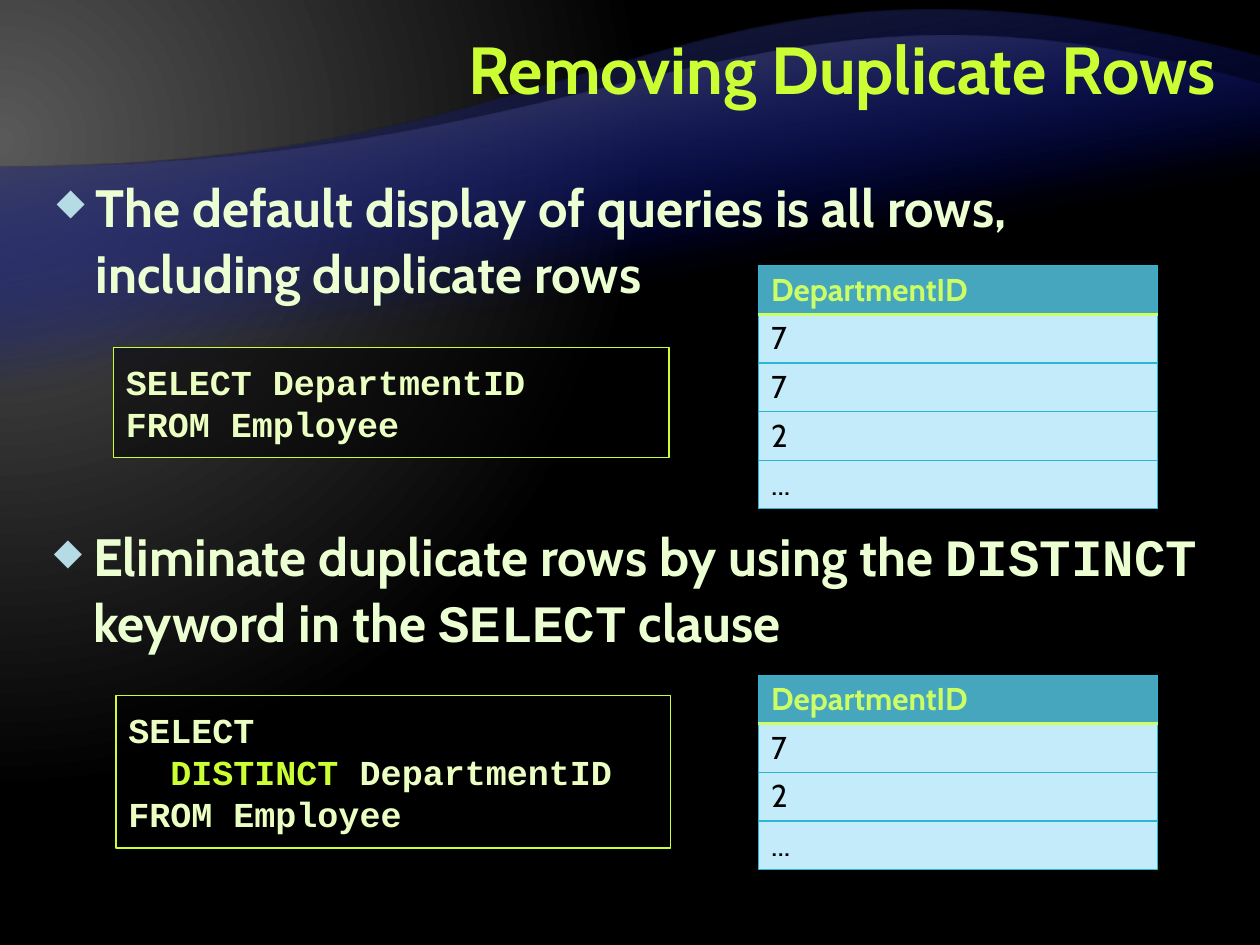
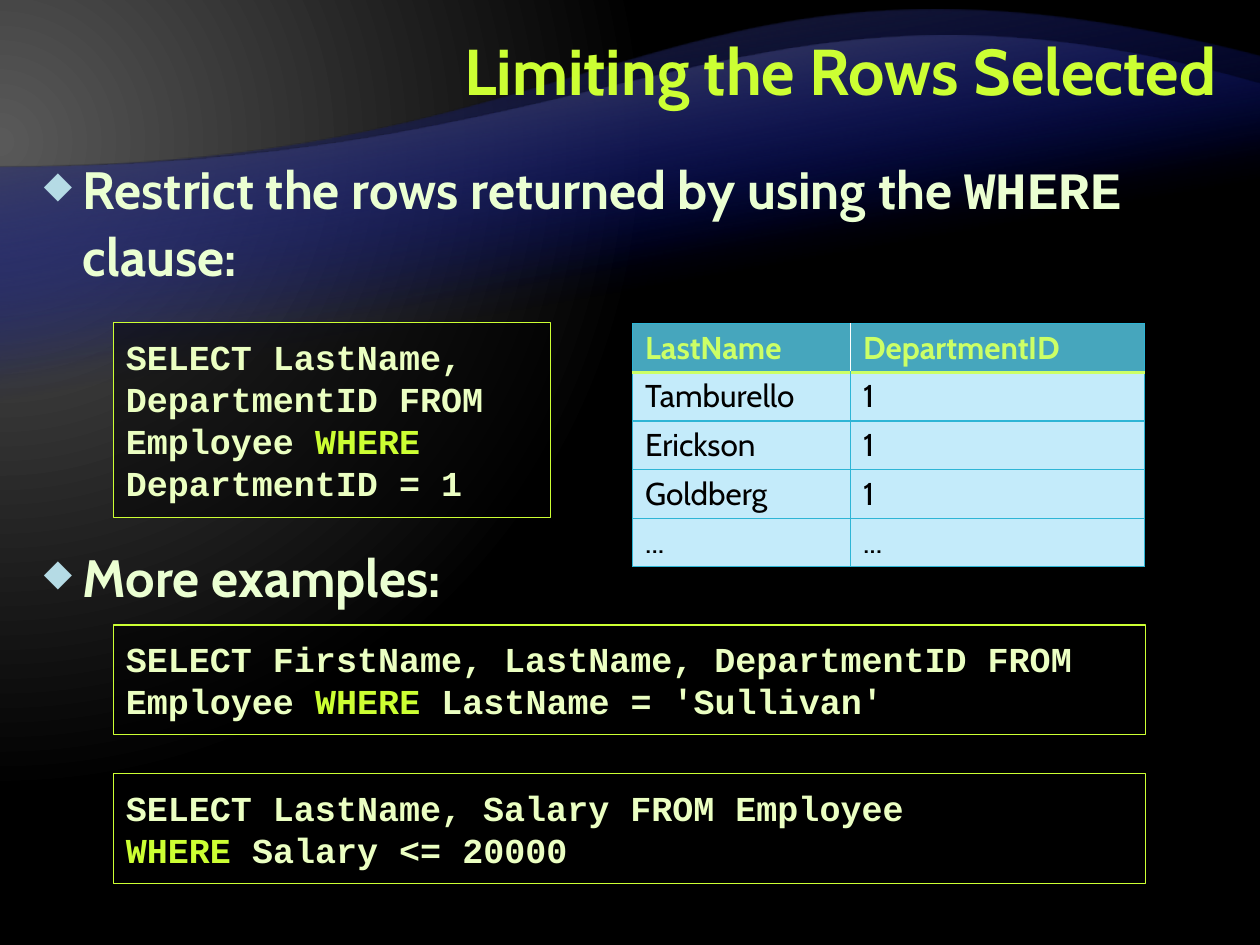
from pptx import Presentation
from pptx.dml.color import RGBColor
from pptx.enum.shapes import MSO_SHAPE
from pptx.enum.text import MSO_ANCHOR, MSO_AUTO_SIZE, PP_ALIGN
from pptx.oxml import parse_xml
from pptx.oxml.ns import nsdecls, qn
from pptx.util import Inches, Pt

RECTANGLE = MSO_SHAPE.RECTANGLE
MIDDLE, TOP = MSO_ANCHOR.MIDDLE, MSO_ANCHOR.TOP
LEFT, RIGHT = PP_ALIGN.LEFT, PP_ALIGN.RIGHT
GROW = MSO_AUTO_SIZE.SHAPE_TO_FIT_TEXT

COLORS = {
    "lime": "CCFF33", "body": "EBFFD2", "code": "EBFFC2", "bullet": "B5DBE5",
    "header_text": "CCFF66", "header_fill": "46A6BD", "cell_fill": "C4EBFA",
    "grid": "2EB5D5", "black": "000000", "blue": "000D9E",
    "grey": "595959", "dark_grey": "262626",
}
SANS, MONO = "Cabin", "Courier New"
SLIDE_WIDTH, SLIDE_HEIGHT = 10, 7.5
ROW_HEIGHT = 0.385

# Waves: top, bottom, second control point of the upper edge, inner colour
WAVES = [(0.45, 6.53, (5.34, -0.75), "dark_grey"),
         (0.67, 5.57, (5.98, -0.49), "grey")]
WAVE_START = 1.33

# Text is a list of paragraphs; a paragraph is a list of runs.
# A run is a string, or a (string, changes) pair.
KEYWORD = {"color": "lime"}
INLINE_CODE = {"font": MONO}

SLIDES = [
    {
        "title": "Removing Duplicate Rows", "title_size": 38,
        "bullets": [
            ((0.35, 1.31, 9.29, 1.11),
             ["The default display of queries is all rows, including duplicate rows"]),
            ((0.33, 4.08, 9.29, 1.19),
             ["Eliminate duplicate rows by using the ", ("DISTINCT", INLINE_CODE),
              " keyword in the ", ("SELECT", INLINE_CODE), " clause"]),
        ],
        "code": [
            ((0.9, 2.76, 4.41, 0.87), [["SELECT DepartmentID"], ["FROM Employee"]]),
            ((0.92, 5.52, 4.4, 1.21),
             [["SELECT"], ["  ", ("DISTINCT", KEYWORD), " DepartmentID"],
              ["FROM Employee"]]),
        ],
        "tables": [
            ((6.02, 2.11), [3.17], [["DepartmentID"], ["7"], ["7"], ["2"], ["..."]]),
            ((6.02, 5.36), [3.17], [["DepartmentID"], ["7"], ["2"], ["..."]]),
        ],
    },
    {
        "title": "Limiting the Rows Selected", "title_size": 37,
        "bullets": [
            ((0.25, 1.17, 9.5, 1.17),
             ["Restrict the rows returned by using the ", ("WHERE", INLINE_CODE),
              " clause:"]),
            ((0.25, 4.25, 9.5, 0.67), ["More examples:"]),
        ],
        "code": [
            ((0.9, 2.56, 3.47, 1.55),
             [["SELECT LastName, DepartmentID FROM Employee ", ("WHERE", KEYWORD),
               " DepartmentID = 1"]]),
            ((0.9, 4.96, 8.19, 0.87),
             [["SELECT FirstName, LastName, DepartmentID FROM Employee ",
               ("WHERE", KEYWORD), " LastName = 'Sullivan'"]]),
            ((0.9, 6.14, 8.19, 0.87),
             [["SELECT LastName, Salary FROM Employee"],
              [("WHERE ", KEYWORD), "Salary <= 20000"]]),
        ],
        "tables": [
            ((5.02, 2.57), [1.73, 2.33],
             [["LastName", "DepartmentID"], ["Tamburello", "1"], ["Erickson", "1"],
              ["Goldberg", "1"], ["...", "..."]]),
        ],
    },
]


def rgb(name):
    return RGBColor.from_string(COLORS[name])


def set_gradient(parent, stops, direction):
    """Replace the empty fill of parent; a stop is (percent, colour, alpha)."""
    stop_xml = "".join(
        f'<a:gs pos="{percent * 1000}"><a:srgbClr val="{COLORS[color]}">'
        f'<a:alpha val="{alpha * 1000}"/></a:srgbClr></a:gs>'
        for percent, color, alpha in stops)
    gradient = parse_xml(f'<a:gradFill {nsdecls("a")} rotWithShape="1">'
                         f'<a:gsLst>{stop_xml}</a:gsLst>{direction}</a:gradFill>')
    parent.replace(parent.find(qn("a:noFill")), gradient)


def draw_background(slide):
    slide.background.fill.background()
    set_gradient(slide._element.find(".//" + qn("p:bgPr")),
                 [(0, "grey", 100), (83, "black", 100)],
                 '<a:path path="circle"><a:fillToRect l="20000" t="30000" '
                 'r="135000" b="100000"/></a:path>')
    for wave in WAVES:
        draw_wave(slide, *wave)


def draw_wave(slide, top, bottom, control, color):
    """Draw a band turned by 180 degrees whose one long edge is a curve."""
    def turned(x, y):
        return Inches(SLIDE_WIDTH - x), Inches(bottom - y)

    corners = [turned(0, bottom), turned(0, WAVE_START), turned(SLIDE_WIDTH, top)]
    builder = slide.shapes.build_freeform(*turned(SLIDE_WIDTH, bottom))
    builder.add_line_segments(corners, close=True)
    shape = builder.convert_to_shape(0, Inches(top))
    shape.rotation = 180
    shape.shadow.inherit = False
    shape.line.fill.background()
    shape.fill.background()
    set_gradient(shape._element.spPr, [(65, "blue", 0), (100, color, 100)],
                 '<a:lin ang="4800000" scaled="0"/>')

    edge = shape._element.findall(".//" + qn("a:lnTo"))[2]
    curve_points = [turned(5, WAVE_START), turned(*control), corners[-1]]
    points_xml = "".join(f'<a:pt x="{x}" y="{y}"/>' for x, y in curve_points)
    curve = parse_xml(f'<a:cubicBezTo {nsdecls("a")}>{points_xml}</a:cubicBezTo>')
    edge.getparent().replace(edge, curve)


def add_bullet(paragraph):
    properties = paragraph._p.get_or_add_pPr()
    indent = Inches(0.31)
    properties.set("marL", str(indent))
    properties.set("indent", str(-indent))
    for xml in (f'<a:buClr {{}}><a:srgbClr val="{COLORS["bullet"]}"/></a:buClr>',
                '<a:buSzPct {} val="70000"/>', '<a:buChar {} char="◆"/>'):
        properties.append(parse_xml(xml.format(nsdecls("a"))))


def write_text(frame, paragraphs, size, color, font=SANS, bold=True, align=LEFT,
               spacing=None, after=0, bullet=False, anchor=TOP):
    frame.word_wrap = True
    frame.vertical_anchor = anchor
    for index, runs in enumerate(paragraphs):
        paragraph = frame.add_paragraph() if index else frame.paragraphs[0]
        paragraph.alignment = align
        paragraph.line_spacing = spacing
        paragraph.space_after = Pt(after)
        if bullet:
            add_bullet(paragraph)
        for item in runs:
            text, changes = (item, {}) if isinstance(item, str) else item
            run = paragraph.add_run()
            run.text = text
            run.font.size = Pt(size)
            run.font.bold = bold
            run.font.name = changes.get("font", font)
            run.font.color.rgb = rgb(changes.get("color", color))


def add_text_box(slide, box, paragraphs, **text_format):
    shape = slide.shapes.add_textbox(*map(Inches, box))
    write_text(shape.text_frame, paragraphs, **text_format)


def add_code_box(slide, box, paragraphs):
    shape = slide.shapes.add_shape(RECTANGLE, *map(Inches, box))
    shape.shadow.inherit = False
    shape.fill.solid()
    shape.fill.fore_color.rgb = rgb("black")
    fill_color = shape._element.spPr.find(qn("a:solidFill"))[0]
    fill_color.append(parse_xml(f'<a:alpha {nsdecls("a")} val="50000"/>'))
    shape.line.color.rgb = rgb("lime")
    shape.line.width = Pt(0.75)
    frame = shape.text_frame
    frame.margin_left = frame.margin_right = Inches(0.1)
    frame.margin_top = frame.margin_bottom = Inches(0.1)
    write_text(frame, paragraphs, size=20, color="code", font=MONO, spacing=Pt(24))
    frame.auto_size = GROW


def set_border(cell, side, color, width):
    border = parse_xml(
        f'<a:ln{side} {nsdecls("a")} w="{Pt(width)}"><a:solidFill>'
        f'<a:srgbClr val="{COLORS[color]}"/></a:solidFill></a:ln{side}>')
    cell._tc.get_or_add_tcPr().append(border)


def add_result_table(slide, position, column_widths, rows):
    left, top = position
    table = slide.shapes.add_table(
        len(rows), len(column_widths), Inches(left), Inches(top),
        Inches(sum(column_widths)), Inches(ROW_HEIGHT * len(rows))).table
    for column, width in zip(table.columns, column_widths):
        column.width = Inches(width)
    for row_index, values in enumerate(rows):
        table.rows[row_index].height = Inches(ROW_HEIGHT)
        is_header = row_index == 0
        for column_index, value in enumerate(values):
            cell = table.cell(row_index, column_index)
            write_text(cell.text_frame, [[value]], size=18, bold=is_header,
                       color="header_text" if is_header else "black", spacing=0.95)
            inner_header = is_header and len(values) > 1
            for side in "LRTB":
                if inner_header and side == ("L" if column_index else "R"):
                    continue
                under_header = (row_index, side) in ((0, "B"), (1, "T"))
                set_border(cell, side, *(("header_text", 2) if under_header
                                         else ("grid", 0.75)))
            cell.fill.solid()
            cell.fill.fore_color.rgb = rgb("header_fill" if is_header else "cell_fill")


def build_slide(presentation, content):
    slide = presentation.slides.add_slide(presentation.slide_layouts[6])
    draw_background(slide)
    add_text_box(slide, (2, 0.08, 7.75, 1), [[content["title"]]],
                 size=content["title_size"], color="lime", align=RIGHT,
                 spacing=Pt(40), anchor=MIDDLE)
    for box, runs in content["bullets"]:
        add_text_box(slide, box, [runs], size=30, color="body",
                     spacing=Pt(38), after=6, bullet=True)
    for box, paragraphs in content["code"]:
        add_code_box(slide, box, paragraphs)
    for table in content["tables"]:
        add_result_table(slide, *table)


def main():
    presentation = Presentation()
    presentation.slide_width = Inches(SLIDE_WIDTH)
    presentation.slide_height = Inches(SLIDE_HEIGHT)
    for content in SLIDES:
        build_slide(presentation, content)
    presentation.save("out.pptx")


if __name__ == "__main__":
    main()
